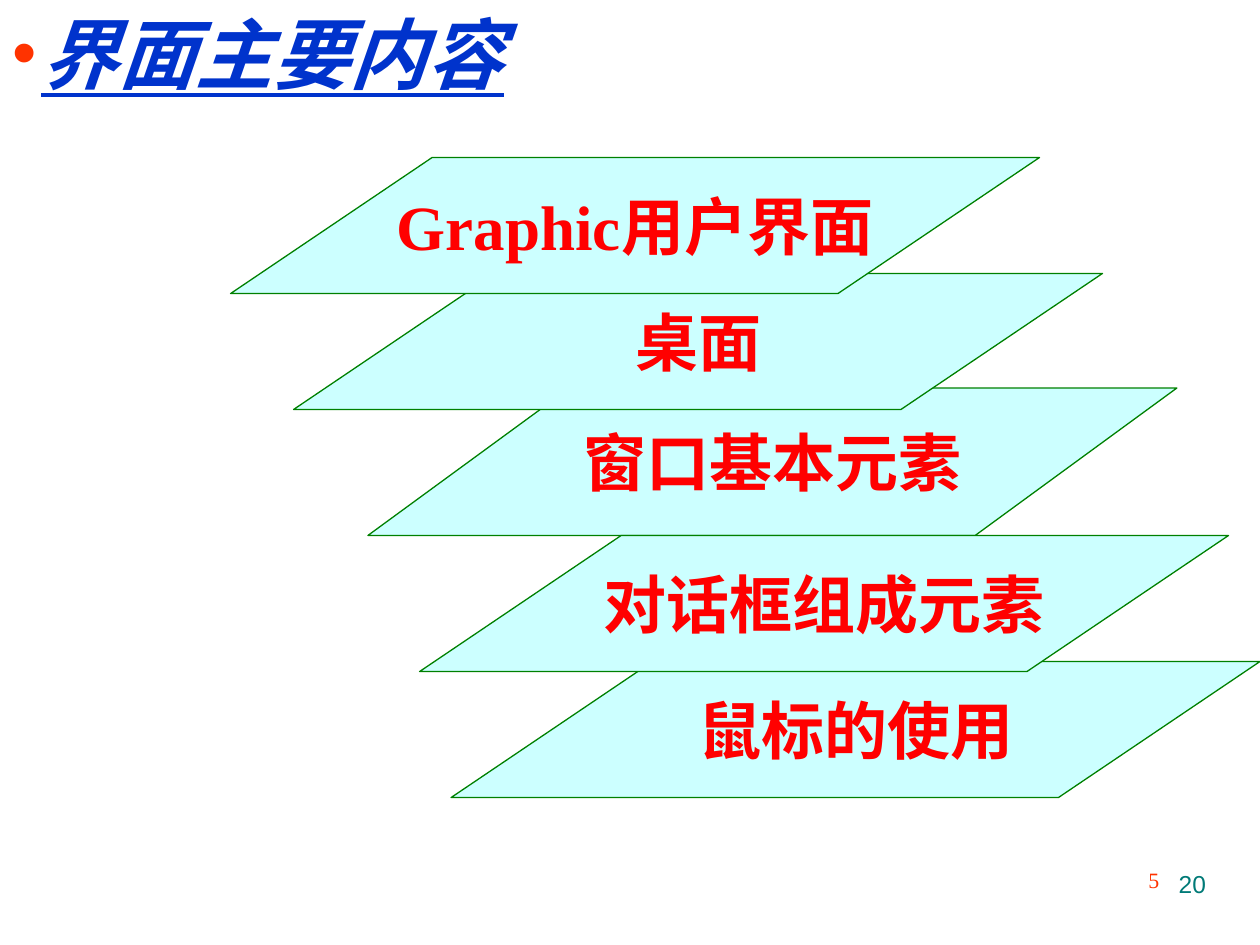
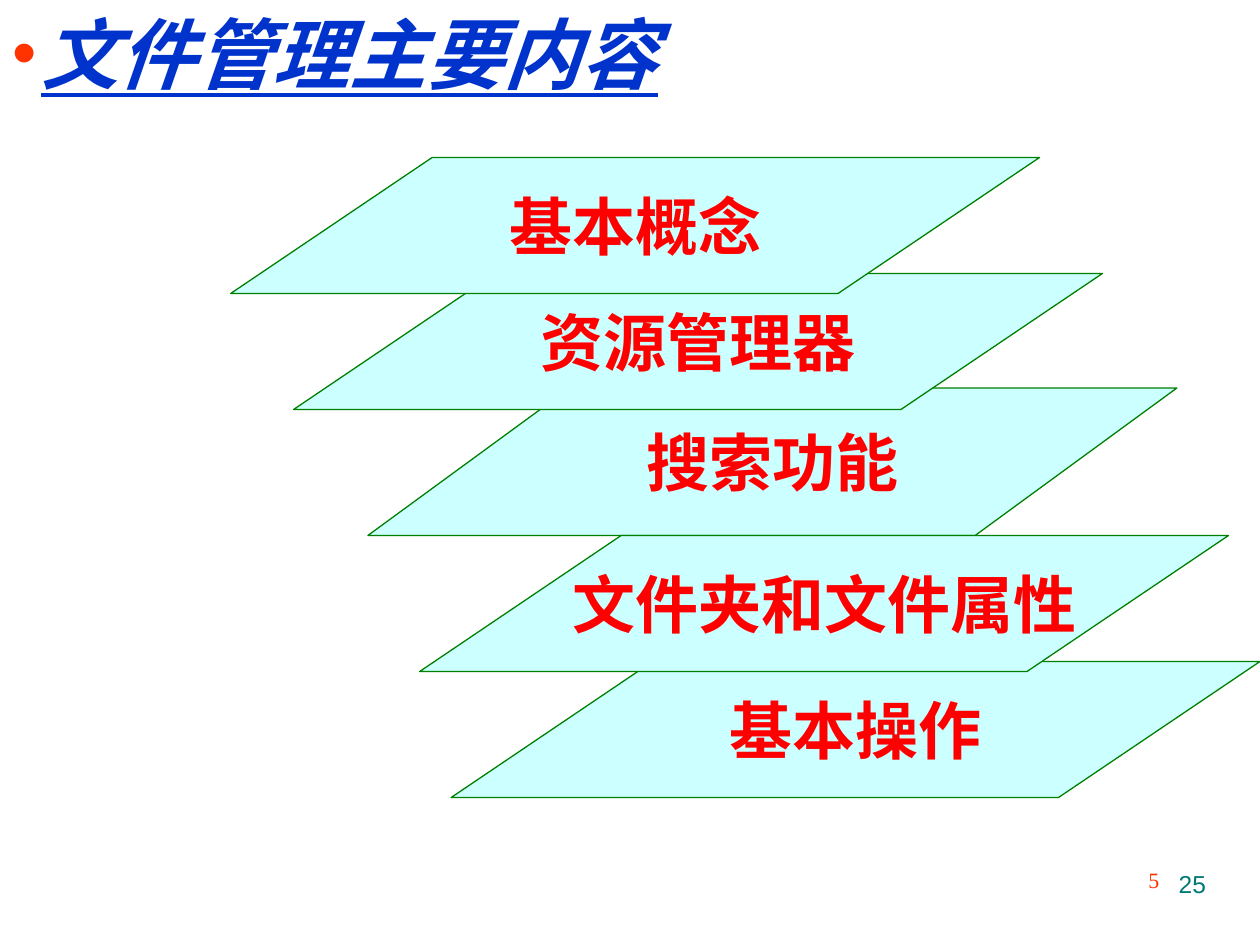
"""Build two outline slides with stacked slanted panels."""
import pptx
import pptx.util
import pptx.dml.color
import pptx.enum.shapes
import pptx.enum.text
import pptx.oxml.ns
from lxml import etree

DECK = [
    ("界面主要内容", "20",
     ["Graphic用户界面", "桌面", "窗口基本元素", "对话框组成元素", "鼠标的使用"]),
    ("文件管理主要内容", "25",
     ["基本概念", "资源管理器", "搜索功能", "文件夹和文件属性", "基本操作"]),
]
PART = "5"
PANELS = [(1.83, 1.25, 1.08), (2.33, 2.17, 1.08), (2.92, 3.08, 1.17),
          (3.33, 4.25, 1.08), (3.58, 5.25, 1.08)]
STACK = (2, 1, 0, 4, 3)
WIDE, SLANT = 6.42, 1.6
HANG = 0.23
COLORS = {"title": "0033CC", "bullet": "FF3300", "panel": "CCFFFF",
          "edge": "008000", "label": "FF0000", "page": "007A77"}

Inches, Pt = pptx.util.Inches, pptx.util.Pt
ALIGN = pptx.enum.text.PP_ALIGN
MIDDLE = pptx.enum.text.MSO_ANCHOR.MIDDLE
SLAB = pptx.enum.shapes.MSO_SHAPE.PARALLELOGRAM


def color(key):
    return pptx.dml.color.RGBColor.from_string(COLORS[key])


def write(shape, text, size, face, key, align, bold=False):
    """Set one line of text, format it and return its paragraph."""
    para = shape.text_frame.paragraphs[0]
    para.text = text
    para.alignment = align
    font = para.runs[0].font
    font.size, font.name, font.bold = Pt(size), face, bold
    font.color.rgb = color(key)
    return para


def inset(frame, side, end):
    """Set the side margins and the top and bottom margins."""
    frame.margin_left = frame.margin_right = Inches(side)
    frame.margin_top = frame.margin_bottom = Inches(end)


def add_box(slide, *place):
    box = slide.shapes.add_textbox(*map(Inches, place))
    box.text_frame.word_wrap = True
    return box


def add_bullet(para):
    """Give the paragraph a hanging coloured bullet."""
    props = para._p.get_or_add_pPr()
    props.set("marL", str(Inches(HANG)))
    props.set("indent", str(-Inches(HANG)))
    qn = pptx.oxml.ns.qn
    tint = etree.SubElement(props, qn("a:buClr"))
    etree.SubElement(tint, qn("a:srgbClr"), val=COLORS["bullet"])
    etree.SubElement(props, qn("a:buSzPct"), val="90000")
    etree.SubElement(props, qn("a:buFont"), typeface="Arial")
    etree.SubElement(props, qn("a:buChar"), char="•")


def add_title(slide, text):
    box = add_box(slide, 0, 0, 10, 0.83)
    inset(box.text_frame, 0.1, 0)
    box.text_frame.vertical_anchor = MIDDLE
    para = write(box, text, 44, "Arial", "title", ALIGN.LEFT, True)
    add_bullet(para)
    font = para.runs[0].font
    font.italic = font.underline = True


def add_panel(slide, label, left, top, high):
    slab = slide.shapes.add_shape(SLAB, *map(Inches, (left, top, WIDE, high)))
    slab.adjustments[0] = SLANT / high
    slab.shadow.inherit = False
    slab.fill.solid()
    slab.fill.fore_color.rgb = color("panel")
    slab.line.color.rgb = color("edge")
    slab.line.width = Pt(0.75)
    frame = slab.text_frame
    inset(frame, 0, 0)
    frame.word_wrap = False
    frame.vertical_anchor = MIDDLE
    write(slab, label, 36, "Times New Roman", "label", ALIGN.CENTER, True)


def add_footer(slide, page):
    part = add_box(slide, 8.7, 6.88, 0.5, 0.2)
    inset(part.text_frame, 0, 0)
    write(part, PART, 12.5, "Times New Roman", "bullet", ALIGN.RIGHT)
    box = add_box(slide, 7.17, 6.85, 2.5, 0.5)
    write(box, page, 14, "Arial", "page", ALIGN.RIGHT)


def main():
    deck = pptx.Presentation()
    deck.slide_width, deck.slide_height = Inches(10), Inches(7.5)
    for title, page, labels in DECK:
        slide = deck.slides.add_slide(deck.slide_layouts[6])
        add_title(slide, title)
        for spot in STACK:
            add_panel(slide, labels[spot], *PANELS[spot])
        add_footer(slide, page)
    deck.save("out.pptx")


if __name__ == "__main__":
    main()
